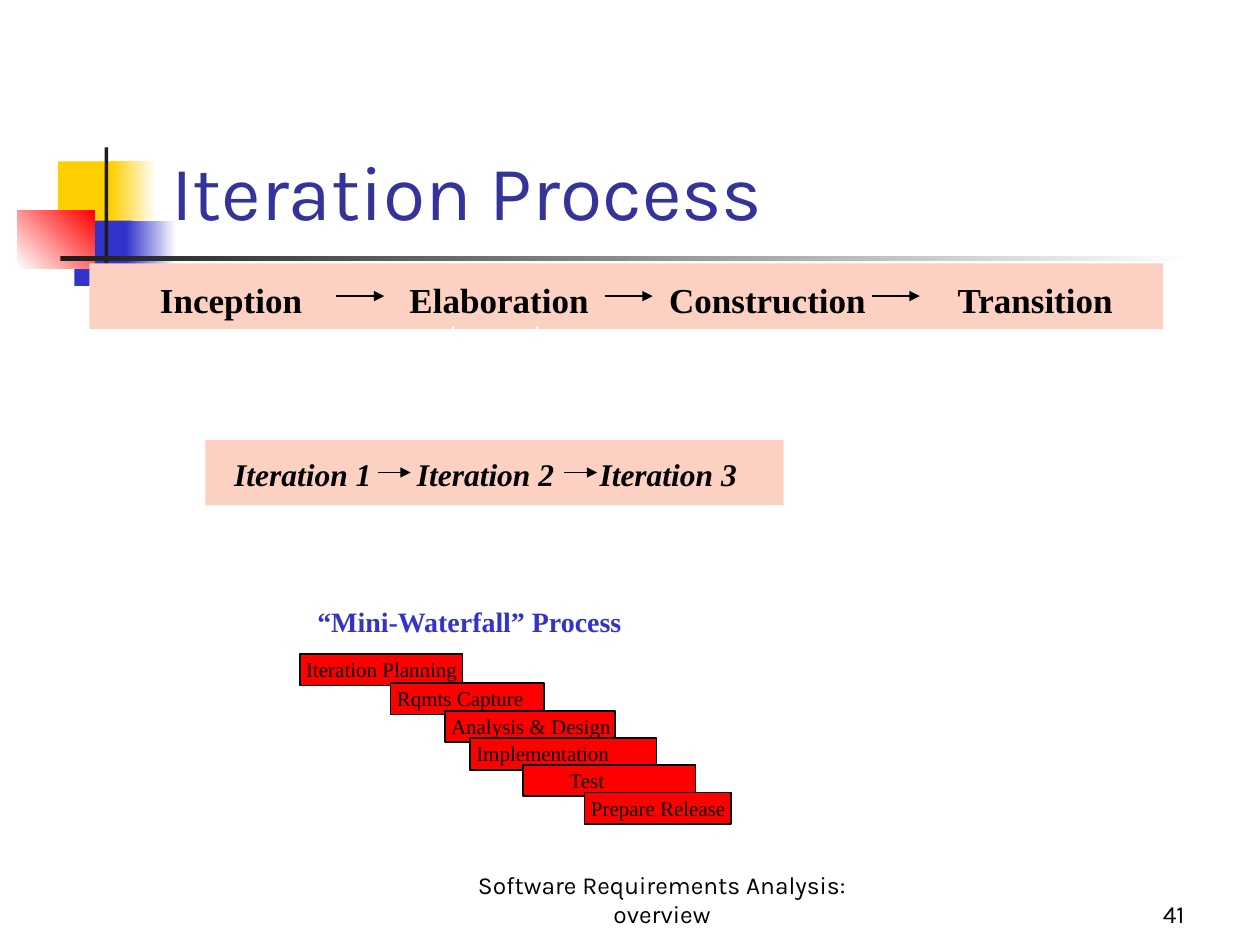
from dataclasses import dataclass
from typing import Optional

import pptx
import pptx.dml.color
import pptx.enum.shapes
import pptx.enum.text
import pptx.oxml
import pptx.oxml.ns
import pptx.util

Inches = pptx.util.Inches
Align = pptx.enum.text.PP_ALIGN
Anchor = pptx.enum.text.MSO_ANCHOR


@dataclass(frozen=True)
class Theme:
    sans: str = "Karla"
    serif: str = "Times New Roman"
    black: str = "000000"
    white: str = "FFFFFF"
    ink: str = "1C1C1C"
    yellow: str = "FFCF01"
    blue: str = "3333CC"
    title: str = "333399"
    red: str = "FF0000"
    band: str = "FCD1C1"
    title_size: int = 44
    phase_size: int = 20
    iteration_size: int = 18
    heading_size: int = 16
    footer_size: int = 14
    step_size: int = 12


@dataclass(frozen=True)
class Box:
    x: float
    y: float
    w: float
    h: float


@dataclass(frozen=True)
class Style:
    size: int
    color: str
    font: str
    bold: bool = False
    italic: bool = False


@dataclass(frozen=True)
class Block:
    box: Box
    color: str
    end_color: Optional[str] = None
    angle: int = 0


@dataclass(frozen=True)
class Step:
    text: str
    x: float
    y: float
    w: float
    indent: float = 0.05


T = Theme()
TITLE = Style(T.title_size, T.title, T.sans)
FOOTER = Style(T.footer_size, T.black, T.sans)
PHASE = Style(T.phase_size, T.black, T.serif, bold=True)
ITERATION = Style(T.iteration_size, T.black, T.serif, bold=True, italic=True)
HEADING = Style(T.heading_size, T.blue, T.serif, bold=True)
STEP = Style(T.step_size, T.black, T.serif)

DECORATION = [
    Block(Box(0.46, 1.28, 0.48, 0.52), T.yellow),
    Block(Box(0.88, 1.28, 0.36, 0.52), T.yellow, T.white),
    Block(Box(0.59, 1.75, 0.46, 0.52), T.blue),
    Block(Box(1, 1.75, 0.4, 0.52), T.blue, T.white),
    Block(Box(0.14, 1.67, 0.61, 0.46), T.white, T.red, 45),
    Block(Box(0.83, 1.17, 0.03, 1.15), T.ink),
    Block(Box(0.48, 2.03, 9, 0.04), T.ink, T.white),
]
PHASES = [("Inception", 1.15, 1.37), ("Elaboration", 3.13, 1.67),
          ("Construction", 5.19, 1.81), ("Transition", 7.48, 1.5)]
STEPS = [
    Step("Iteration Planning", 2.38, 5.19, 1.29),
    Step("Rqmts Capture", 3.1, 5.42, 1.22),
    Step("Analysis & Design", 3.53, 5.64, 1.35),
    Step("Implementation", 3.73, 5.86, 1.48),
    Step("Test", 4.15, 6.07, 1.37, 0.37),
    Step("Prepare Release", 4.64, 6.29, 1.16),
]


def rgb(color: str):
    return pptx.dml.color.RGBColor.from_string(color)


def place(box: Box) -> list:
    return [Inches(v) for v in (box.x, box.y, box.w, box.h)]


def add_block(slide, block: Block):
    sp = slide.shapes.add_shape(pptx.enum.shapes.MSO_SHAPE.RECTANGLE, *place(block.box))
    sp.shadow.inherit = False
    sp.line.fill.background()
    if block.end_color is None:
        sp.fill.solid()
        sp.fill.fore_color.rgb = rgb(block.color)
    else:
        sp.fill.gradient()
        sp.fill.gradient_angle = block.angle
        for stop, color, pos in zip(sp.fill.gradient_stops, (block.color, block.end_color), (0, 1)):
            stop.color.rgb = rgb(color)
            stop.position = pos
    return sp


def write(tf, text: str, style: Style, align=Align.LEFT) -> None:
    p = tf.paragraphs[0]
    p.alignment = align
    r = p.add_run()
    r.text = text
    r.font.name = style.font
    r.font.size = pptx.util.Pt(style.size)
    r.font.bold = style.bold
    r.font.italic = style.italic
    r.font.color.rgb = rgb(style.color)


def set_margins(tf, left: float, top: float, right: float) -> None:
    tf.margin_left, tf.margin_right = Inches(left), Inches(right)
    tf.margin_top = tf.margin_bottom = Inches(top)


def add_paragraph_box(slide, box: Box, text: str, style: Style, align=Align.LEFT) -> None:
    tf = slide.shapes.add_textbox(*place(box)).text_frame
    tf.word_wrap = True
    tf.vertical_anchor = Anchor.BOTTOM
    write(tf, text, style, align)


def add_label(slide, box: Box, text: str, style: Style, inset: float = 0.1) -> None:
    tf = slide.shapes.add_textbox(*place(box)).text_frame
    tf.word_wrap = False
    tf.auto_size = pptx.enum.text.MSO_AUTO_SIZE.SHAPE_TO_FIT_TEXT
    set_margins(tf, inset, inset / 2, inset)
    write(tf, text, style)


def add_line(slide, x1: float, y1: float, x2: float, y2: float, color: str, arrow: bool = False) -> None:
    line = slide.shapes.add_connector(pptx.enum.shapes.MSO_CONNECTOR.STRAIGHT,
                                      Inches(x1), Inches(y1), Inches(x2), Inches(y2))
    line.line.color.rgb = rgb(color)
    line.line.width = pptx.util.Pt(1)
    if arrow:
        tail = pptx.oxml.parse_xml(f'<a:tailEnd {pptx.oxml.ns.nsdecls("a")} type="triangle"/>')
        line.line._get_or_add_ln().append(tail)
    effects = pptx.oxml.parse_xml(f'<a:effectLst {pptx.oxml.ns.nsdecls("a")}/>')
    line._element.spPr.append(effects)


def add_step(slide, step: Step) -> None:
    sp = add_block(slide, Block(Box(step.x, step.y, step.w, 0.25), T.red))
    sp.line.color.rgb = rgb(T.black)
    sp.line.width = pptx.util.Pt(1)
    tf = sp.text_frame
    tf.word_wrap = True
    tf.vertical_anchor = Anchor.TOP
    set_margins(tf, step.indent, 0.02, 0)
    write(tf, step.text, STEP)


def main() -> None:
    prs = pptx.Presentation()
    prs.slide_width, prs.slide_height = Inches(10), Inches(7.5)
    slide = prs.slides.add_slide(prs.slide_layouts[6])

    for block in DECORATION:
        add_block(slide, block)
    add_paragraph_box(slide, Box(7.42, 6.92, 2.08, 0.5), "41", FOOTER, Align.RIGHT)
    add_paragraph_box(slide, Box(3.67, 6.92, 3.17, 0.5),
                      "Software Requirements Analysis: overview", FOOTER, Align.CENTER)
    add_paragraph_box(slide, Box(1.26, 0.67, 8.52, 1.25), "Iteration Process", TITLE)

    add_block(slide, Block(Box(0.71, 2.09, 8.52, 0.52), T.band))
    for text, x, w in PHASES:
        add_label(slide, Box(x, 2.15, w, 0.46), text, PHASE, 0.12)
    for x in (2.67, 4.8, 6.92):
        add_line(slide, x, 2.35, x + 0.38, 2.35, T.black, arrow=True)

    for top_x, bottom_x in ((3.6, 3.17), (4.26, 4.66)):
        add_line(slide, top_x, 2.59, bottom_x, 3.97, T.white)

    add_block(slide, Block(Box(1.63, 3.49, 4.59, 0.52), T.band))
    for i in range(3):
        add_label(slide, Box(1.76 + 1.45 * i, 3.56, 1.29, 0.4), f"Iteration {i + 1}", ITERATION)
    for x in (3, 4.48):
        add_line(slide, x, 3.75, x + 0.26, 3.75, T.black, arrow=True)

    for step in STEPS:
        add_step(slide, step)
    add_label(slide, Box(2.42, 4.75, 2.63, 0.36), "“Mini-Waterfall” Process", HEADING)

    prs.save("out.pptx")


if __name__ == "__main__":
    main()
